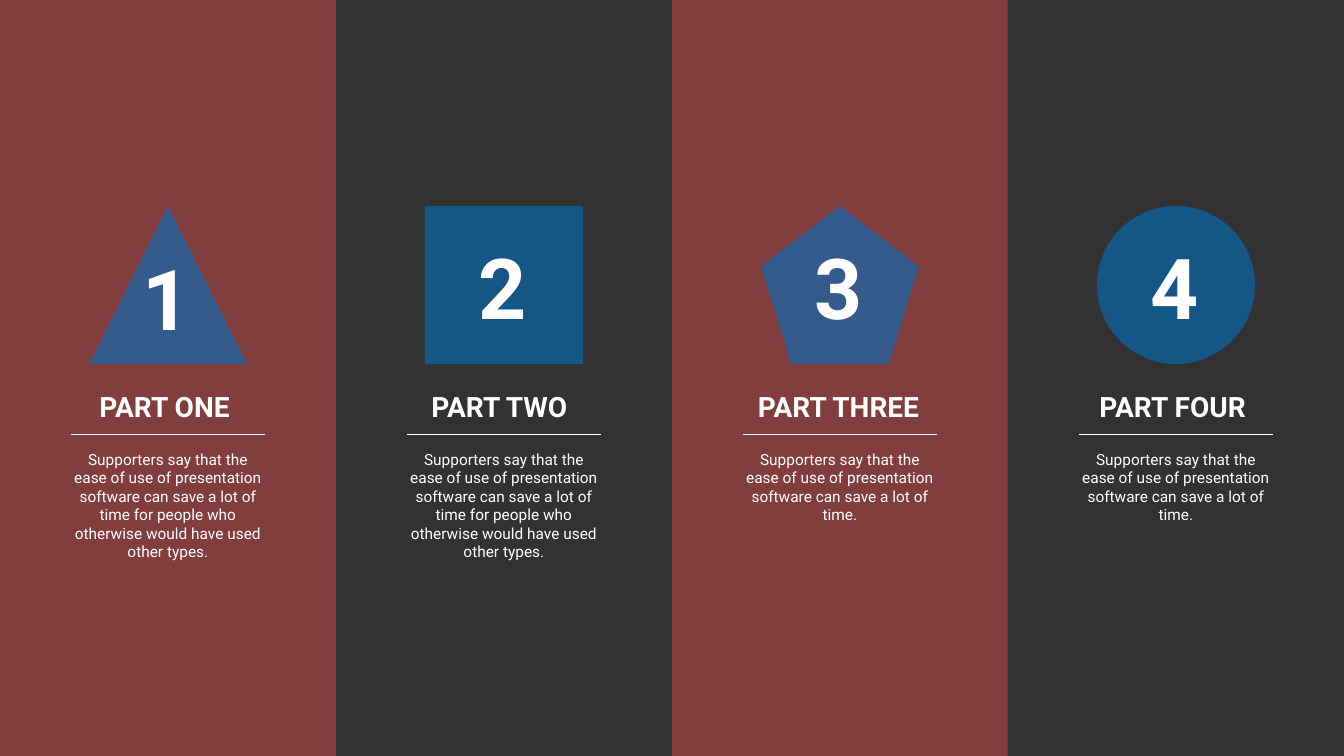
from dataclasses import dataclass

import pptx
import pptx.dml.color
import pptx.enum.shapes
import pptx.enum.text
import pptx.oxml
import pptx.oxml.ns
import pptx.util

SHAPE = pptx.enum.shapes.MSO_SHAPE
ALIGN = pptx.enum.text.PP_ALIGN

# Content
SHORT = "Supporters say that the ease of use of presentation software can save a lot of time."
LONG = SHORT.rstrip(".") + " for people who otherwise would have used other types."

# label, label box width, body, body height, symbol, number top
PARTS = [
    ("PART ONE", 157, LONG, 122, SHAPE.ISOSCELES_TRIANGLE, 242),
    ("PART TWO", 165, LONG, 122, SHAPE.RECTANGLE, 231),
    ("PART THREE", 184, SHORT, 85, SHAPE.REGULAR_PENTAGON, 231),
    ("PART FOUR", 173, SHORT, 85, SHAPE.OVAL, 231),
]


@dataclass(frozen=True)
class Theme:
    font: str = "Roboto"
    red: str = "C00000"
    black: str = "000000"
    blue: str = "0070C0"
    white: str = "FFFFFF"
    tint: int = 60
    red_shade: int = 40
    black_shade: int = 50
    number: int = 60
    label: int = 20
    body: int = 11
    rule: float = 0.5


THEME = Theme()

# Geometry in px
SCALE = 914400 / 100.8
WIDTH, HEIGHT = 1344, 756
COLUMN = WIDTH // len(PARTS)
SYMBOL, SYMBOL_TOP = 158, 206
NUMBER_W, NUMBER_H = 70, 112
LABEL_TOP, LABEL_H = 385, 44
RULE_W, RULE_Y = 194, 434
BODY_W, BODY_TOP = 214, 445


def px(*values):
    return [pptx.util.Emu(round(v * SCALE)) for v in values]


def rgb(color):
    return pptx.dml.color.RGBColor.from_string(color)


def add_block(slide, kind, box, color, opacity):
    sp = slide.shapes.add_shape(kind, *px(*box))
    sp.shadow.inherit = False
    sp.line.fill.background()
    sp.fill.solid()
    sp.fill.fore_color.rgb = rgb(color)
    clr = sp.fill._xPr.find(".//" + pptx.oxml.ns.qn("a:srgbClr"))
    alpha = pptx.oxml.parse_xml(
        f'<a:alpha {pptx.oxml.ns.nsdecls("a")} val="{opacity * 1000}"/>')
    clr.append(alpha)


def add_text(slide, text, box, size, bold=False, wrap=False, align=ALIGN.LEFT):
    tf = slide.shapes.add_textbox(*px(*box)).text_frame
    tf.word_wrap = wrap
    tf.auto_size = pptx.enum.text.MSO_AUTO_SIZE.SHAPE_TO_FIT_TEXT
    tf.text = text
    p = tf.paragraphs[0]
    p.alignment = align
    font = p.runs[0].font
    font.name, font.size, font.bold = THEME.font, pptx.util.Pt(size), bold
    font.color.rgb = rgb(THEME.white)


def add_rule(slide, x1, x2, y):
    line = slide.shapes.add_connector(
        pptx.enum.shapes.MSO_CONNECTOR.STRAIGHT, *px(x1, y, x2, y))
    line.line.color.rgb = rgb(THEME.white)
    line.line.width = pptx.util.Pt(THEME.rule)
    line._element.spPr.append(
        pptx.oxml.parse_xml(f'<a:effectLst {pptx.oxml.ns.nsdecls("a")}/>'))


def add_part(slide, i, label, label_w, body, body_h, symbol, number_top):
    left = i * COLUMN
    middle = left + COLUMN / 2

    # Tinted panel with a dark shade over it
    panel = (left, 0, COLUMN, HEIGHT)
    color, shade = [(THEME.red, THEME.red_shade),
                    (THEME.black, THEME.black_shade)][i % 2]
    add_block(slide, SHAPE.RECTANGLE, panel, color, THEME.tint)
    add_block(slide, SHAPE.RECTANGLE, panel, THEME.black, shade)

    # Numbered symbol
    add_block(slide, symbol, (middle - SYMBOL / 2, SYMBOL_TOP, SYMBOL, SYMBOL),
              THEME.blue, THEME.tint)
    add_text(slide, str(i + 1),
             (middle - NUMBER_W / 2, number_top, NUMBER_W, NUMBER_H),
             THEME.number, bold=True)

    # Label, rule and body
    add_text(slide, label, (middle - label_w / 2, LABEL_TOP, label_w, LABEL_H),
             THEME.label, bold=True)
    add_rule(slide, middle - RULE_W / 2, middle + RULE_W / 2, RULE_Y)
    add_text(slide, body, (middle - BODY_W / 2, BODY_TOP, BODY_W, body_h),
             THEME.body, wrap=True, align=ALIGN.CENTER)


def main():
    prs = pptx.Presentation()
    prs.slide_width, prs.slide_height = px(WIDTH, HEIGHT)
    slide = prs.slides.add_slide(prs.slide_layouts[6])
    for i, part in enumerate(PARTS):
        add_part(slide, i, *part)
    prs.save("out.pptx")


if __name__ == "__main__":
    main()
